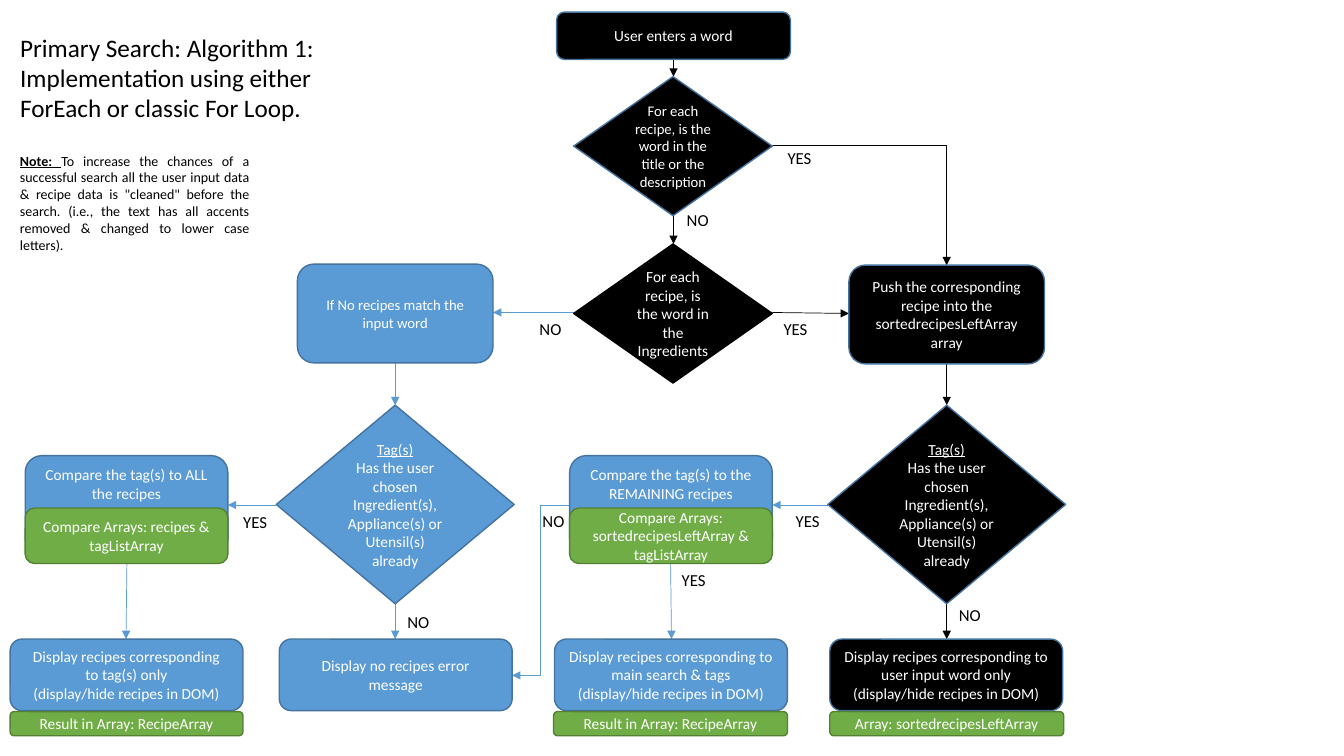
import lxml.etree
import pptx
import pptx.util
import pptx.dml.color
import pptx.enum.shapes
import pptx.enum.text
import pptx.oxml.ns

PX = 9144  # one px is a hundredth of an inch
COLOURS = {"black": "000000", "white": "FFFFFF", "blue": "5B9BD5",
           "navy": "43739E", "green": "70AD47", "forest": "538035"}
ALIGN = pptx.enum.text.PP_ALIGN
ANCHOR = pptx.enum.text.MSO_ANCHOR
SHAPE = pptx.enum.shapes.MSO_SHAPE
CONNECTOR = pptx.enum.shapes.MSO_CONNECTOR


def rgb(name):
    return pptx.dml.color.RGBColor.from_string(COLOURS[name])


def write(frame, lines, size, colour, align):
    """Fill a text frame with one paragraph per line."""
    for index, line in enumerate(lines):
        para = frame.paragraphs[0] if index == 0 else frame.add_paragraph()
        para.text = line
        para.alignment = align
        for span in para.runs:
            look = {"name": "Calibri", "size": pptx.util.Pt(size), "underline": line == "Tag(s)"}
            for key, value in look.items():
                setattr(span.font, key, value)
            span.font.color.rgb = rgb(colour)


deck = pptx.Presentation()
deck.slide_width, deck.slide_height = 1333 * PX, 750 * PX
page = deck.slides.add_slide(deck.slide_layouts[5])

# Title
title = page.shapes.title
for key, value in {"left": 10, "top": 27, "width": 332, "height": 101}.items():
    setattr(title, key, value * PX)
for key, value in {"word_wrap": True, "vertical_anchor": ANCHOR.TOP,
                   "auto_size": pptx.enum.text.MSO_AUTO_SIZE.NONE}.items():
    setattr(title.text_frame, key, value)
write(title.text_frame,
      ["Primary Search: Algorithm 1:", "Implementation using either ForEach or classic For Loop."],
      18, "black", ALIGN.LEFT)

# Note
note = page.shapes.add_textbox(10 * PX, 146 * PX, 247 * PX, 111 * PX)
note.text_frame.word_wrap = True
write(note.text_frame, ["Note: "], 10, "black", ALIGN.JUSTIFY)
note_para = note.text_frame.paragraphs[0]
for key in ("bold", "underline"):
    setattr(note_para.runs[0].font, key, True)
span = note_para.add_run()
span.text = ('To increase the chances of a successful search all the user input data & recipe data '
             'is "cleaned" before the search. (i.e., the text has all accents removed & changed '
             'to lower case letters).')
for key, value in {"name": "Calibri", "size": pptx.util.Pt(10)}.items():
    setattr(span.font, key, value)
span.font.color.rgb = rgb("black")

# Arrows: colour, kind, from, to
arrows = [
    ("black", "straight", 668, 58, 668, 76),
    ("black", "straight", 668, 213, 668, 242),
    ("black", "straight", 766, 310, 842, 311),
    ("black", "bentConnector2", 766, 144, 939, 263),
    ("black", "straight", 939, 360, 939, 402),
    ("black", "straight", 939, 599, 939, 634),
    ("blue", "straight", 569, 310, 489, 310),
    ("blue", "straight", 392, 359, 392, 402),
    ("blue", "straight", 392, 599, 392, 634),
    ("blue", "straight", 274, 501, 226, 501),
    ("blue", "straight", 821, 501, 766, 501),
    ("blue", "straight", 126, 550, 125, 634),
    ("blue", "straight", 665, 550, 666, 634),
    ("blue", "bentConnector3", 565, 501, 508, 670),
]
for colour, kind, *ends in arrows:
    route = CONNECTOR.STRAIGHT if kind == "straight" else CONNECTOR.ELBOW
    arrow = page.shapes.add_connector(route, *[end * PX for end in ends])
    arrow.line.width = pptx.util.Pt(0.5)
    arrow.line.color.rgb = rgb(colour)
    properties = arrow._element.spPr
    if kind != "straight":
        properties.find(pptx.oxml.ns.qn("a:prstGeom")).set("prst", kind)
    outline = properties.find(pptx.oxml.ns.qn("a:ln"))
    lxml.etree.SubElement(outline, pptx.oxml.ns.qn("a:tailEnd"), type="triangle")
    lxml.etree.SubElement(properties, pptx.oxml.ns.qn("a:effectLst"))

# Steps: shape, fill, outline, left, top, width, height, size, lines
ROUND, DIAMOND = SHAPE.ROUNDED_RECTANGLE, SHAPE.DIAMOND
in_dom = "(display/hide recipes in DOM)"
tag_question = ["Tag(s)", "Has the user chosen", "Ingredient(s), Appliance(s) or Utensil(s) already"]
steps = [
    (ROUND, "black", "navy", 552, 12, 232, 47, 11, ["User enters a word"]),
    (DIAMOND, "black", "navy", 569, 76, 197, 138, 10.5,
     ["For each recipe, is the word in the title or the description"]),
    (DIAMOND, "black", "black", 569, 242, 197, 138, 11,
     ["For each recipe, is the word in the Ingredients"]),
    (ROUND, "black", "navy", 842, 263, 194, 98, 11,
     ["Push the corresponding recipe into the sortedrecipesLeftArray", "array"]),
    (ROUND, "blue", "navy", 295, 262, 194, 98, 10.5, ["If No recipes match the input word"]),
    (DIAMOND, "black", "navy", 821, 402, 236, 197, 11, tag_question),
    (DIAMOND, "blue", "navy", 274, 402, 236, 197, 11, tag_question),
    (ROUND, "blue", "navy", 25, 452, 201, 99, 11, ["Compare the tag(s) to ALL the recipes"]),
    (ROUND, "blue", "navy", 565, 452, 201, 99, 11, ["Compare the tag(s) to the REMAINING recipes"]),
    (ROUND, "green", "forest", 25, 504, 201, 55, 11, ["Compare Arrays: recipes &", "tagListArray"]),
    (ROUND, "green", "forest", 565, 504, 201, 55, 11,
     ["Compare Arrays: sortedrecipesLeftArray &", "tagListArray"]),
    (ROUND, "blue", "navy", 10, 634, 231, 71, 11,
     ["Display recipes corresponding\vto tag(s) only", in_dom]),
    (ROUND, "blue", "navy", 277, 634, 231, 71, 11, ["Display no recipes error message"]),
    (ROUND, "blue", "navy", 550, 634, 231, 71, 11,
     ["Display recipes corresponding to main search & tags", in_dom]),
    (ROUND, "black", "navy", 823, 634, 231, 71, 11,
     ["Display recipes corresponding to user input word only", in_dom]),
    (ROUND, "green", "forest", 10, 706, 231, 24, 11, ["Result in Array: RecipeArray"]),
    (ROUND, "green", "forest", 549, 706, 232, 24, 11, ["Result in Array: RecipeArray"]),
    (ROUND, "green", "forest", 823, 706, 232, 24, 11, ["Array: sortedrecipesLeftArray"]),
]
for kind, fill, outline, left, top, width, height, size, lines in steps:
    box = page.shapes.add_shape(kind, left * PX, top * PX, width * PX, height * PX)
    box.shadow.inherit = False
    box.fill.solid()
    box.fill.fore_color.rgb = rgb(fill)
    box.line.color.rgb = rgb(outline)
    box.line.width = pptx.util.Pt(1)
    box.text_frame.word_wrap = True
    # The two tall comparison boxes keep their text above the green overlay
    box.text_frame.vertical_anchor = ANCHOR.TOP if height == 99 else ANCHOR.MIDDLE
    write(box.text_frame, lines, size, "white", ALIGN.CENTER)

# Branch labels
labels = {
    "YES": [(770, 142), (766, 311), (778, 502), (230, 503), (665, 560)],
    "NO": [(669, 203), (523, 311), (526, 502), (392, 602), (939, 595)],
}
for answer, places in labels.items():
    for left, top in places:
        label = page.shapes.add_textbox(left * PX, top * PX, 46 * PX, 30 * PX)
        label.text_frame.word_wrap = False
        write(label.text_frame, [answer], 12, "black", ALIGN.CENTER)

deck.save("out.pptx")
